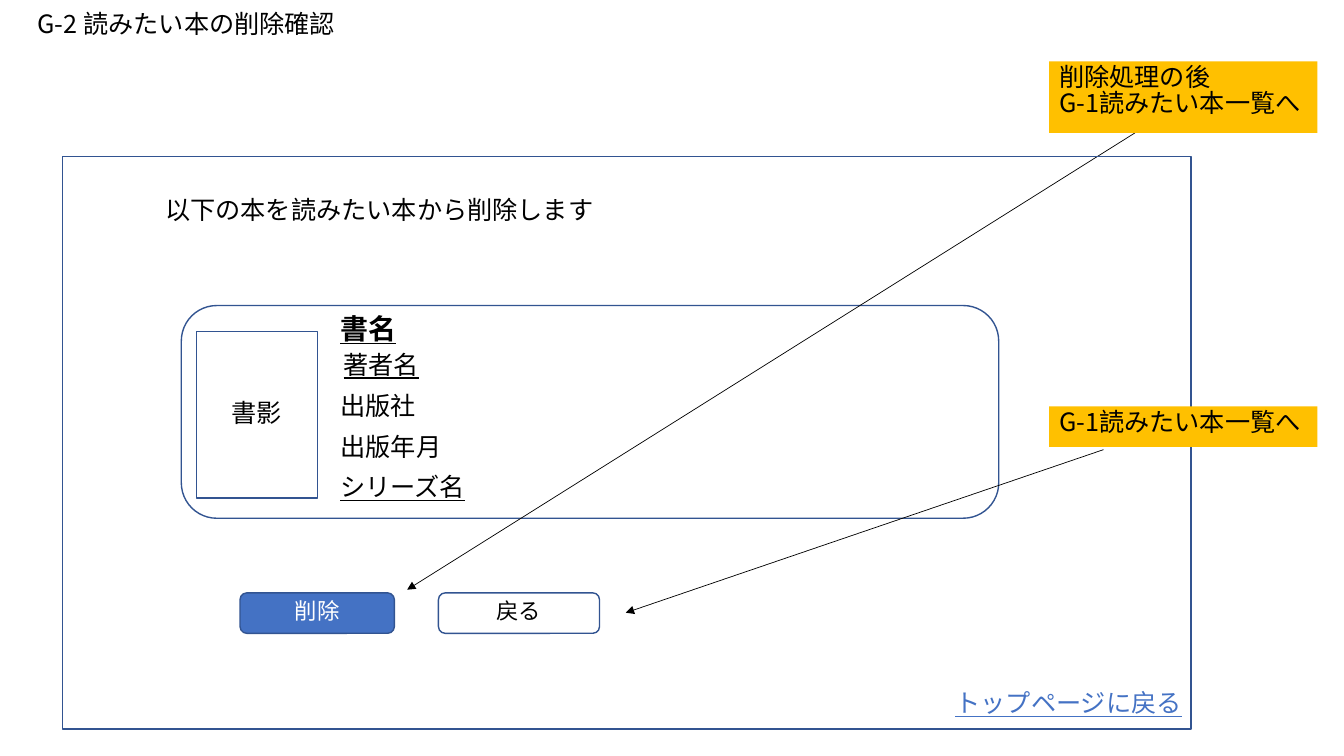
from dataclasses import dataclass

from lxml.etree import SubElement
from pptx import Presentation
from pptx.dml.color import RGBColor
from pptx.enum.shapes import MSO_CONNECTOR as Connector, MSO_SHAPE as Preset
from pptx.enum.text import MSO_ANCHOR as Anchor, MSO_AUTO_SIZE as AutoSize, PP_ALIGN as Align
from pptx.oxml.ns import qn
from pptx.util import Cm, Pt


@dataclass(frozen=True)
class Theme:
    font: str = "Noto Sans CJK JP"
    ink: str = "000000"
    white: str = "FFFFFF"
    accent: str = "4472C4"
    border: str = "325491"
    note: str = "FFC000"
    heading_size: int = 20
    body_size: int = 18
    button_size: int = 16
    line_spacing: float = 0.85
    border_width: float = 1
    arrow_width: float = 0.5


THEME = Theme()
ROW_HEIGHT = 1.02


def write_text(shape, text, *, size=THEME.body_size, color=THEME.ink, bold=False,
               underline=False, align=Align.LEFT, anchor=Anchor.TOP, wrap=False):
    frame = shape.text_frame
    frame.text = text
    frame.word_wrap = wrap
    frame.auto_size = AutoSize.NONE
    frame.vertical_anchor = anchor
    for paragraph in frame.paragraphs:
        paragraph.alignment = align
        paragraph.line_spacing = THEME.line_spacing
        for run in paragraph.runs:
            font = run.font
            font.name = THEME.font
            font.size = Pt(size)
            font.bold = bold
            font.underline = underline
            font.color.rgb = RGBColor.from_string(color)
            SubElement(font._element, qn("a:ea"), typeface=THEME.font)


def add_title(slide, text, box):
    title = slide.shapes.title
    title.left, title.top, title.width, title.height = map(Cm, box)
    write_text(title, text)


def add_label(slide, text, box, **text_format):
    label = slide.shapes.add_textbox(*map(Cm, box))
    write_text(label, text, **text_format)


def add_box(slide, preset, box, fill=None, border=THEME.border):
    shape = slide.shapes.add_shape(preset, *map(Cm, box))
    shape.shadow.inherit = False
    if fill:
        shape.fill.solid()
        shape.fill.fore_color.rgb = RGBColor.from_string(fill)
    else:
        shape.fill.background()
    if border:
        shape.line.color.rgb = RGBColor.from_string(border)
        shape.line.width = Pt(THEME.border_width)
    else:
        shape.line.fill.background()
    return shape


def add_centered_box(slide, preset, text, box, fill=None, **text_format):
    shape = add_box(slide, preset, box, fill)
    write_text(shape, text, align=Align.CENTER, anchor=Anchor.MIDDLE, wrap=True, **text_format)


def add_note(slide, text, box):
    write_text(add_box(slide, Preset.RECTANGLE, box, THEME.note, None), text)


def add_arrow(slide, start, end):
    arrow = slide.shapes.add_connector(Connector.STRAIGHT, *map(Cm, start + end))
    arrow.line.color.rgb = RGBColor.from_string(THEME.ink)
    arrow.line.width = Pt(THEME.arrow_width)
    SubElement(arrow.line._get_or_add_ln(), qn("a:tailEnd"), type="triangle")
    SubElement(arrow._element.spPr, qn("a:effectLst"))


def add_book_card(slide):
    add_box(slide, Preset.ROUNDED_RECTANGLE, (4.57, 7.7, 20.6, 5.36))
    add_centered_box(slide, Preset.RECTANGLE, "書影", (4.95, 8.36, 3.05, 4.19))
    add_label(slide, "書名", (8.33, 7.85, 1.93, 1.12),
              size=THEME.heading_size, bold=True, underline=True)
    details = [("著者名", 8.41, True), ("出版社", 8.33, False),
               ("出版年月", 8.33, False), ("シリーズ名", 8.33, True)]
    for index, (text, left, underline) in enumerate(details):
        add_label(slide, text, (left, 8.79 + 1.03 * index, 4.08, ROW_HEIGHT),
                  underline=underline)


def add_buttons(slide):
    buttons = [("削除", 6.05, 3.89, THEME.accent, THEME.white),
               ("戻る", 11.05, 4.06, None, THEME.ink)]
    for text, left, width, fill, color in buttons:
        add_centered_box(slide, Preset.ROUNDED_RECTANGLE, text,
                         (left, 14.94, width, ROW_HEIGHT), fill,
                         size=THEME.button_size, color=color)


def main():
    presentation = Presentation()
    presentation.slide_width, presentation.slide_height = Cm(33.87), Cm(19.05)
    slide = presentation.slides.add_slide(presentation.slide_layouts[5])

    add_title(slide, "G-2 読みたい本の削除確認", (0.69, 0.2, 8.2, ROW_HEIGHT))
    add_book_card(slide)
    add_label(slide, "以下の本を読みたい本から削除します", (3.91, 4.88, 11.4, ROW_HEIGHT))
    add_buttons(slide)
    add_arrow(slide, (27.81, 11.33), (15.77, 15.44))
    add_arrow(slide, (28.6, 3.35), (10.26, 14.86))
    add_box(slide, Preset.RECTANGLE, (1.57, 3.94, 28.45, 14.43))
    add_note(slide, "G-1読みたい本一覧へ", (26.44, 10.24, 6.76, ROW_HEIGHT))
    add_note(slide, "削除処理の後\nG-1読みたい本一覧へ", (26.44, 1.55, 6.76, 1.8))
    add_label(slide, "トップページに戻る", (23.83, 17.32, 6.27, ROW_HEIGHT),
              color=THEME.accent, underline=True)

    presentation.save("out.pptx")


main()
